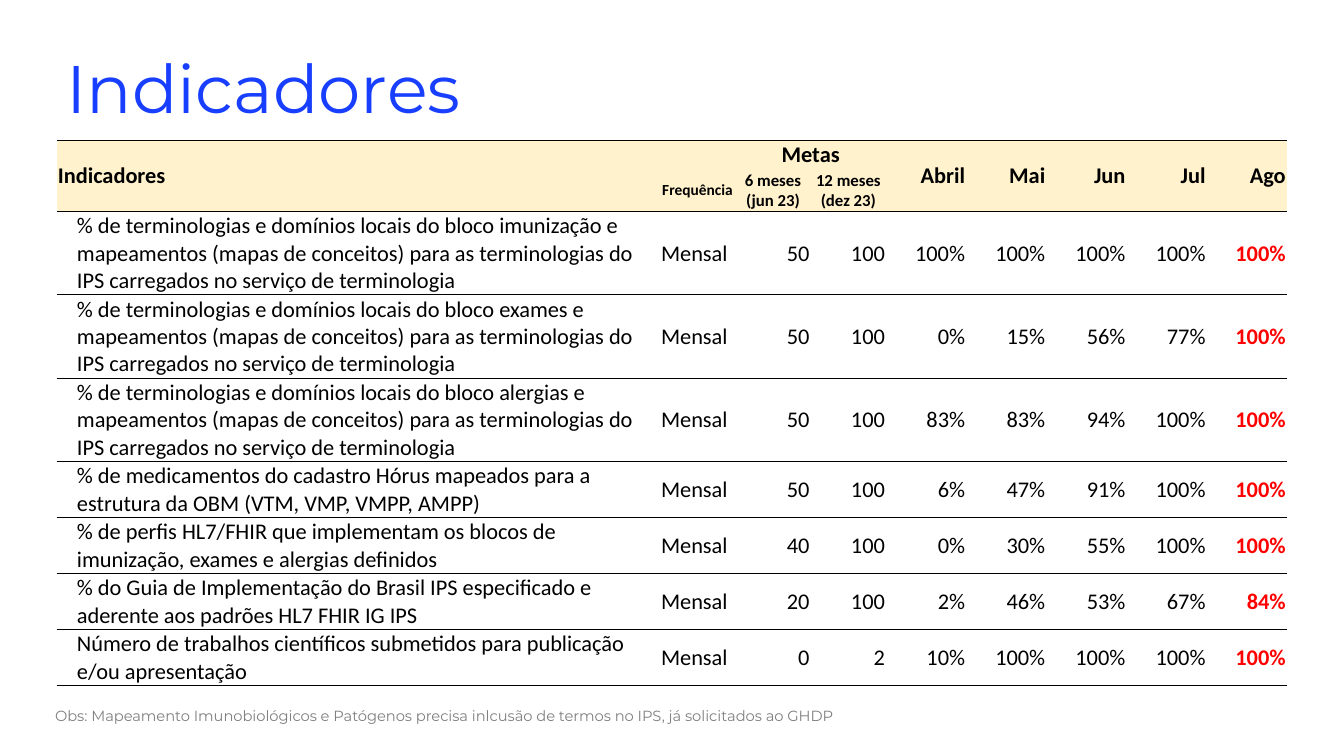
from lxml import etree
from pptx import Presentation
from pptx.dml.color import RGBColor
from pptx.enum import text
from pptx.oxml import ns
from pptx.util import Cm, Pt

# Content
TITLE = "Indicadores"
NOTE = ("Obs: Mapeamento Imunobiológicos e Patógenos precisa inlcusão de termos "
        "no IPS, já solicitados ao GHDP")
HEADER = [
    ["Indicadores", "", "Metas", "", "Abril", "Mai", "Jun", "Jul", "Ago"],
    ["", "Frequência", "6 meses (jun 23)", "12 meses (dez 23)", "", "", "", "", ""],
]
TERMINOLOGY = ("% de terminologias e domínios locais do bloco {} e mapeamentos (mapas de "
               "conceitos) para as terminologias do IPS carregados no serviço de terminologia")
INDICATORS = [
    [TERMINOLOGY.format("imunização"),
     "Mensal", "50", "100", "100%", "100%", "100%", "100%", "100%"],
    [TERMINOLOGY.format("exames"),
     "Mensal", "50", "100", "0%", "15%", "56%", "77%", "100%"],
    [TERMINOLOGY.format("alergias"),
     "Mensal", "50", "100", "83%", "83%", "94%", "100%", "100%"],
    ["% de medicamentos do cadastro Hórus mapeados para a estrutura da OBM "
     "(VTM, VMP, VMPP, AMPP)",
     "Mensal", "50", "100", "6%", "47%", "91%", "100%", "100%"],
    ["% de perfis HL7/FHIR que implementam os blocos de imunização, exames e "
     "alergias definidos",
     "Mensal", "40", "100", "0%", "30%", "55%", "100%", "100%"],
    ["% do Guia de Implementação do Brasil IPS especificado e aderente aos "
     "padrões HL7 FHIR IG IPS",
     "Mensal", "20", "100", "2%", "46%", "53%", "67%", "84%"],
    ["Número de trabalhos científicos submetidos para publicação e/ou apresentação",
     "Mensal", "0", "2", "10%", "100%", "100%", "100%", "100%"],
]
COLORS = {"title": "183EFF", "header": "FFF2CC", "text": "000000",
          "latest": "FF0000", "note": "808080"}
COLUMN_WIDTHS = [15.2] + [1.9] * 3 + [2.02] * 5
ROW_HEIGHTS = [0.71, 1.07] + [2.1] * 3 + [1.41] * 4
HEADER_SIZES = {"Frequência": 11, "6 meses (jun 23)": 12, "12 meses (dez 23)": 12}
LAST_COLUMN = len(COLUMN_WIDTHS) - 1
ALIGN = text.PP_ALIGN


def add_text(paragraph, words, font_name, size, color, bold=False):
    run = paragraph.add_run()
    run.text = words
    run.font.name = font_name
    run.font.size = Pt(size)
    run.font.bold = bold
    run.font.color.rgb = RGBColor.from_string(COLORS[color])


def set_borders(cell, ruled_sides):
    """Draw thin rules on the named sides and clear the other sides."""
    properties = cell._tc.get_or_add_tcPr()
    for position, side in enumerate("LRTB"):
        line = etree.Element(ns.qn(f"a:ln{side}"), w=str(Pt(0.5)))
        if side in ruled_sides:
            fill = etree.SubElement(line, ns.qn("a:solidFill"))
            etree.SubElement(fill, ns.qn("a:srgbClr"), val=COLORS["text"])
        else:
            etree.SubElement(line, ns.qn("a:noFill"))
        properties.insert(position, line)


def alignment_for(row, column):
    if column == 0 or (row > 1 and column == 1):
        return ALIGN.LEFT
    return ALIGN.CENTER if row < 2 and column < 4 else ALIGN.RIGHT


def format_cell(cell, row, column, words):
    is_header = row < len(HEADER)
    cell.margin_left = cell.margin_right = cell.margin_top = Cm(0.03)
    cell.margin_bottom = 0
    cell.vertical_anchor = text.MSO_ANCHOR.MIDDLE
    if is_header:
        cell.fill.solid()
        cell.fill.fore_color.rgb = RGBColor.from_string(COLORS["header"])
    else:
        cell.fill.background()
    paragraph = cell.text_frame.paragraphs[0]
    paragraph.alignment = alignment_for(row, column)
    if not is_header and column == 0:
        paragraph._p.get_or_add_pPr().set("marL", str(Cm(0.48)))
        paragraph._p.get_or_add_pPr().set("indent", "0")
    if words:
        is_latest = not is_header and column == LAST_COLUMN
        add_text(paragraph, words, "Calibri", HEADER_SIZES.get(words, 16),
                 "latest" if is_latest else "text", is_header or is_latest)
    else:
        # Keep empty cells from stretching their row
        etree.SubElement(paragraph._p, ns.qn("a:endParaRPr"), sz="1100")
    set_borders(cell, {0: "T", 1: "B"}.get(row, "TB"))


def main():
    presentation = Presentation()
    presentation.slide_width, presentation.slide_height = Cm(33.87), Cm(19.05)
    slide = presentation.slides.add_slide(presentation.slide_layouts[5])

    # Title
    title = slide.shapes.title
    title.left, title.top, title.width, title.height = Cm(1.42), Cm(1.27), Cm(22.1), Cm(1.65)
    title.text_frame.vertical_anchor = text.MSO_ANCHOR.TOP
    title.text_frame.auto_size = text.MSO_AUTO_SIZE.NONE
    paragraph = title.text_frame.paragraphs[0]
    paragraph.alignment = ALIGN.LEFT
    paragraph.line_spacing = 0.9
    add_text(paragraph, TITLE, "Montserrat", 48, "title")

    # Indicator table
    rows = HEADER + INDICATORS
    frame = slide.shapes.add_table(len(rows), len(COLUMN_WIDTHS), Cm(1.43), Cm(3.53),
                                   Cm(sum(COLUMN_WIDTHS)), Cm(sum(ROW_HEIGHTS)))
    table = frame.table
    table.first_row = table.horz_banding = False
    for column, width in zip(table.columns, COLUMN_WIDTHS):
        column.width = Cm(width)
    for row, height in zip(table.rows, ROW_HEIGHTS):
        row.height = Cm(height)
    for row, values in enumerate(rows):
        for column, words in enumerate(values):
            format_cell(table.cell(row, column), row, column, words)

    # Header spans
    for column in [0, *range(4, LAST_COLUMN + 1)]:
        origin = table.cell(0, column)
        origin.merge(table.cell(1, column))
    table.cell(0, 2).merge(table.cell(0, 3))

    # Note
    note = slide.shapes.add_textbox(Cm(1.14), Cm(17.68), Cm(25.78), Cm(0.74))
    note.text_frame.word_wrap = True
    add_text(note.text_frame.paragraphs[0], NOTE, "Montserrat", 10.5, "note")

    presentation.save("out.pptx")


if __name__ == "__main__":
    main()
